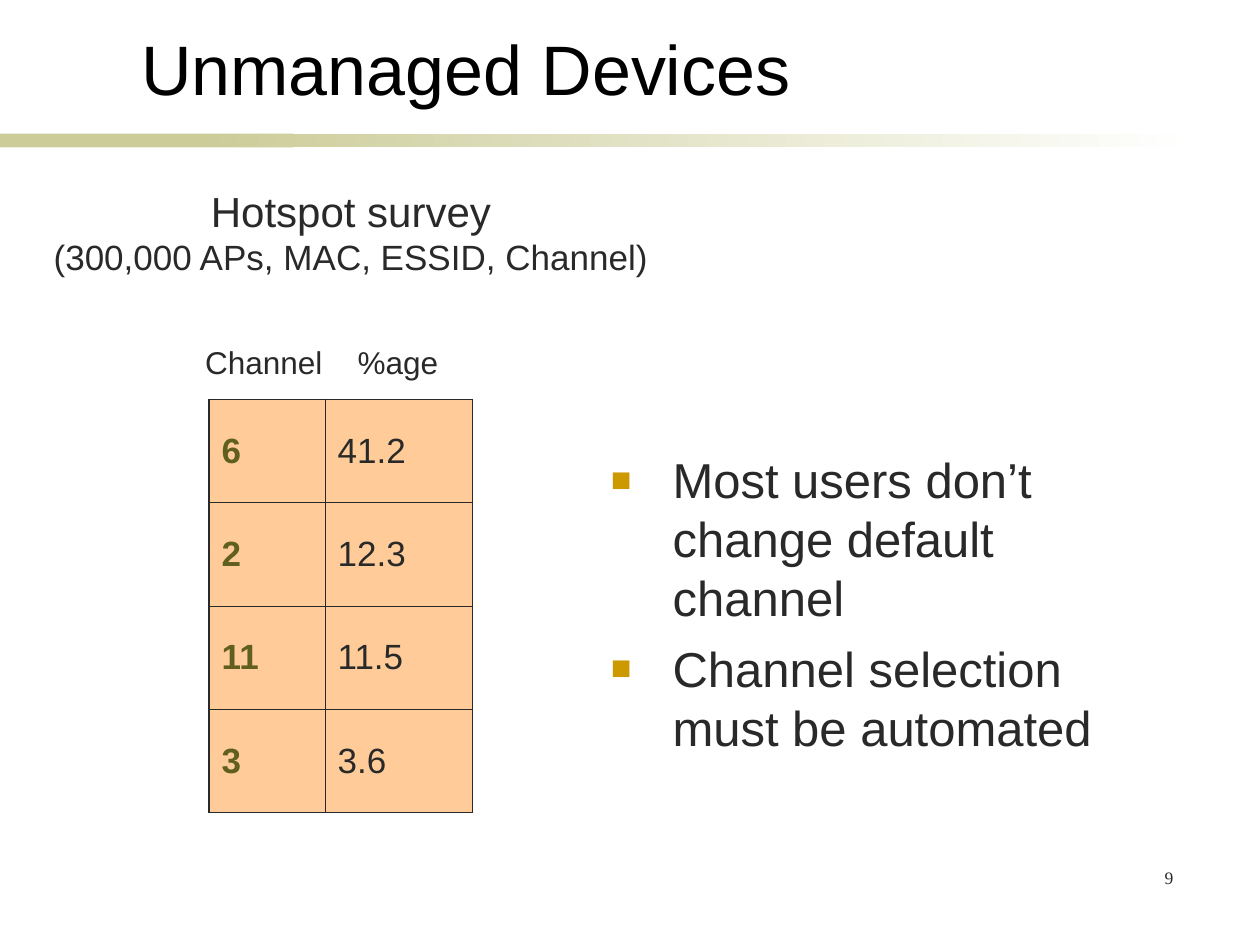
from lxml.etree import SubElement
from pptx import Presentation
from pptx.dml.color import RGBColor
from pptx.enum.shapes import MSO_SHAPE as Preset
from pptx.enum.text import MSO_ANCHOR as Anchor, PP_ALIGN as Align
from pptx.oxml.ns import qn
from pptx.util import Inches, Pt

COLORS = {
    "title": "000000",
    "text": "292929",
    "channel": "615F1F",
    "cell": "FFCC99",
    "bullet": "CC9900",
    "band": "CCCC99",
    "paper": "FFFFFF",
}
COLUMNS, ROWS = 100, 75
TITLE_ONLY = 5
OUTER, INNER = 1.08, 0.45


def color(name):
    return RGBColor.from_string(COLORS[name])


class SlideBuilder:
    """Holds the style and the current slide; lengths are grid columns and rows."""

    def __init__(self, deck, font="Arial"):
        self.font = font
        self.column = deck.slide_width / COLUMNS
        self.row = deck.slide_height / ROWS
        self.slide = deck.slides.add_slide(deck.slide_layouts[TITLE_ONLY])
        self.shapes = self.slide.shapes

    def place(self, left, top, width, height):
        return (round(left * self.column), round(top * self.row),
                round(width * self.column), round(height * self.row))

    def run(self, paragraph, words, size, ink="text", bold=False, font=None):
        run = paragraph.add_run()
        run.text = words
        run.font.size = Pt(size)
        run.font.name = font or self.font
        run.font.bold = bold
        run.font.color.rgb = color(ink)

    def title(self, words, box):
        title = self.shapes.title
        title.left, title.top, title.width, title.height = self.place(*box)
        title.text_frame.vertical_anchor = Anchor.BOTTOM
        paragraph = title.text_frame.paragraphs[0]
        paragraph.alignment = Align.LEFT
        self.run(paragraph, words, 40, "title")

    def band(self, box, fade_to=None):
        band = self.shapes.add_shape(Preset.RECTANGLE, *self.place(*box))
        band.shadow.inherit = False
        band.line.fill.background()
        if fade_to is None:
            band.fill.solid()
            band.fill.fore_color.rgb = color("band")
            return
        band.fill.gradient()
        band.fill.gradient_angle = 0
        for stop, name, position in zip(band.fill.gradient_stops, ("band", fade_to), (0, 1)):
            stop.color.rgb = color(name)
            stop.position = position

    def text(self, box, lines, align=Align.LEFT, wrap=False, font=None):
        """Writes (words, size) lines as one paragraph with line breaks."""
        frame = self.shapes.add_textbox(*self.place(*box)).text_frame
        frame.word_wrap = wrap
        paragraph = frame.paragraphs[0]
        paragraph.alignment = align
        for index, (words, size) in enumerate(lines):
            if index:
                paragraph.add_line_break()
            self.run(paragraph, words, size, font=font)

    def bullets(self, box, items, size, indent=0.49):
        frame = self.shapes.add_textbox(*self.place(*box)).text_frame
        frame.word_wrap = True
        for index, item in enumerate(items):
            paragraph = frame.add_paragraph() if index else frame.paragraphs[0]
            if index:
                paragraph.space_before = Pt(7)
            properties = paragraph._p.get_or_add_pPr()
            properties.set("marL", str(Inches(indent)))
            properties.set("indent", str(-Inches(indent)))
            bullet_color = SubElement(properties, qn("a:buClr"))
            SubElement(bullet_color, qn("a:srgbClr"), val=COLORS["bullet"])
            SubElement(properties, qn("a:buSzPct"), val="70000")
            SubElement(properties, qn("a:buFont"), typeface=self.font)
            SubElement(properties, qn("a:buChar"), char="■")
            self.run(paragraph, item, size)

    def border(self, cell, side, width):
        line = SubElement(cell._tc.get_or_add_tcPr(), qn(f"a:ln{side}"), w=str(Pt(width)))
        fill = SubElement(line, qn("a:solidFill"))
        SubElement(fill, qn("a:srgbClr"), val=COLORS["text"])

    def table(self, left, top, widths, row_height, records, size):
        last_row, last_column = len(records) - 1, len(widths) - 1
        box = self.place(left, top, sum(widths), row_height * len(records))
        table = self.shapes.add_table(len(records), len(widths), *box).table
        table.first_row = table.horz_banding = False
        for column, width in zip(table.columns, widths):
            column.width = round(width * self.column)
        for r, record in enumerate(records):
            for c, value in enumerate(record):
                cell = table.cell(r, c)
                edges = {"L": c == 0, "R": c == last_column, "T": r == 0, "B": r == last_row}
                for side, is_outer in edges.items():
                    self.border(cell, side, OUTER if is_outer else INNER)
                cell.fill.solid()
                cell.fill.fore_color.rgb = color("cell")
                cell.vertical_anchor = Anchor.MIDDLE
                is_channel = c == 0
                self.run(cell.text_frame.paragraphs[0], value, size,
                         "channel" if is_channel else "text", is_channel)


def main():
    deck = Presentation()
    deck.slide_width, deck.slide_height = Inches(10), Inches(7.5)
    page = SlideBuilder(deck)

    page.band((0, 10.6, 23.3, 1.1))
    page.band((15.8, 10.6, 79.2, 1.1), fade_to="paper")
    page.title("Unmanaged Devices", (10.2, 1.1, 78.3, 8.1))

    page.bullets((47.5, 35.2, 41.1, 29.3), [
        "Most users don’t change default channel",
        "Channel selection must be automated",
    ], 28)

    page.table(16.6, 31.7, (9.2, 11.7), 8.2, [
        ("6", "41.2"),
        ("2", "12.3"),
        ("11", "11.5"),
        ("3", "3.6"),
    ], 20)
    page.text((15.3, 26.7, 11.3, 4), [("Channel", 18)])
    page.text((27.4, 26.7, 8.4, 4), [("%age", 18)])

    page.text((3.2, 14.2, 49.3, 11.7), [
        ("Hotspot survey", 24),
        ("(300,000 APs, MAC, ESSID, Channel)", 20),
    ], Align.CENTER)
    page.text((73.3, 68.3, 20.8, 5), [("9", 10)], Align.RIGHT, wrap=True,
              font="Times New Roman")

    deck.save("out.pptx")


if __name__ == "__main__":
    main()
